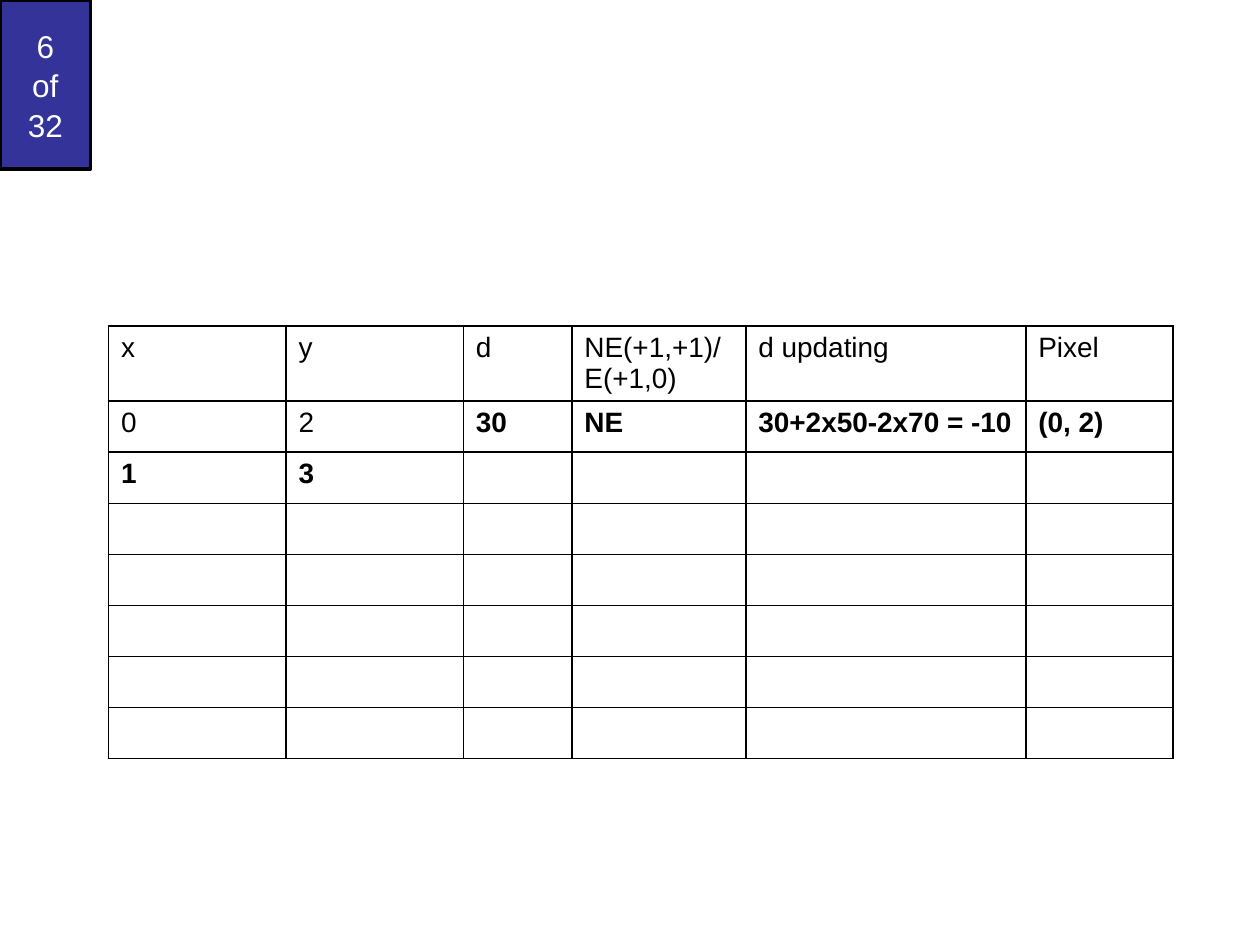
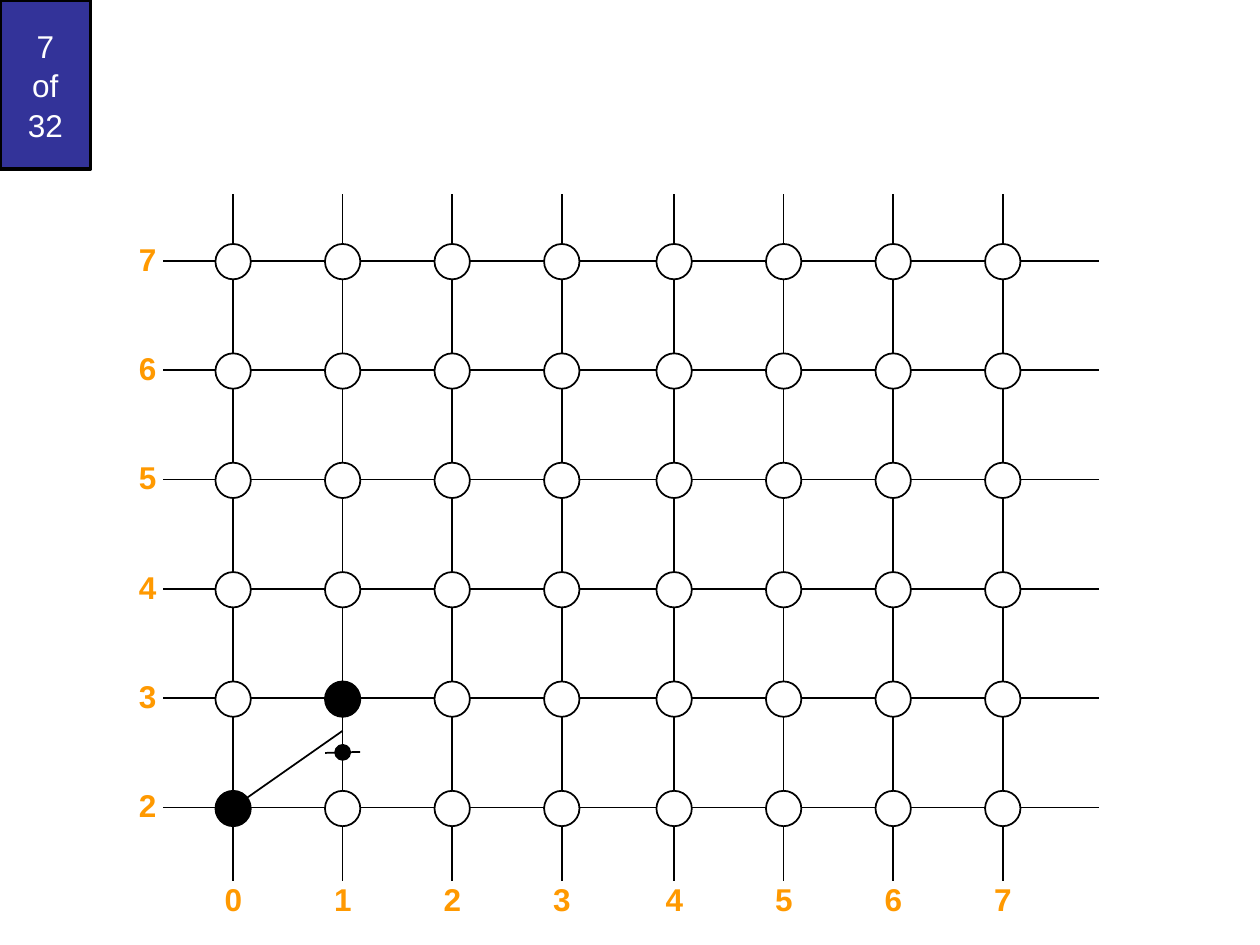
from lxml.etree import SubElement
from pptx import Presentation
from pptx.dml.color import RGBColor as Rgb
from pptx.enum.shapes import MSO_CONNECTOR as Link, MSO_SHAPE as Preset
from pptx.enum.text import MSO_ANCHOR as Anchor, PP_ALIGN as Align
from pptx.oxml.ns import qn
from pptx.util import Pt

COLOURS = {"ink": "000000", "paper": "FFFFFF", "badge": "333399", "axis": "FF9900"}
SLIDE_TOTAL = 32


class Deck:
    font = "Arial"

    def __init__(self, width, height):
        self.prs = Presentation()
        self.prs.slide_width, self.prs.slide_height = Pt(width), Pt(height)
        self.slide = None

    def colour(self, name):
        return Rgb.from_string(COLOURS[name])

    def new_slide(self, number):
        """Start a blank slide with its page badge in the corner."""
        self.slide = self.prs.slides.add_slide(self.prs.slide_layouts[6])
        badge = self.shape(Preset.RECTANGLE, 0, 0, 51.8, 96.5, "badge", weight=2)
        badge.text_frame.vertical_anchor = Anchor.MIDDLE
        self.set_text(badge.text_frame, f"{number}\vof\v{SLIDE_TOTAL}", "paper",
                      align=Align.CENTER, spacing=1.05)

    def set_text(self, frame, text, colour="ink", size=18, bold=False,
                 align=Align.LEFT, spacing=None):
        frame.text = text
        paragraph = frame.paragraphs[0]
        paragraph.alignment, paragraph.line_spacing = align, spacing
        look = {"name": self.font, "size": Pt(size), "bold": bold}
        for run in paragraph.runs:
            for key, value in look.items():
                setattr(run.font, key, value)
            run.font.color.rgb = self.colour(colour)

    def shape(self, preset, left, top, width, height, fill, weight=1):
        shape = self.slide.shapes.add_shape(
            preset, Pt(left), Pt(top), Pt(width), Pt(height))
        shape.shadow.inherit = False
        shape.fill.solid()
        shape.fill.fore_color.rgb = self.colour(fill)
        shape.line.color.rgb = self.colour("ink")
        shape.line.width = Pt(weight)
        return shape

    def dot(self, x, y, size, fill):
        """Draw a circle centred on x, y."""
        self.shape(Preset.OVAL, x - size / 2, y - size / 2, size, size, fill)

    def line(self, x1, y1, x2, y2):
        line = self.slide.shapes.add_connector(
            Link.STRAIGHT, Pt(x1), Pt(y1), Pt(x2), Pt(y2))
        line.line.color.rgb = self.colour("ink")
        line.line.width = Pt(1)
        SubElement(line._element.spPr, qn("a:effectLst"))

    def axis_label(self, x, y, text):
        """Put an axis number centred on x, y."""
        width, height = 24.5, 28.8
        box = self.slide.shapes.add_textbox(
            Pt(x - width / 2), Pt(y - height / 2), Pt(width), Pt(height))
        box.text_frame.word_wrap = False
        self.set_text(box.text_frame, text, "axis", bold=True, align=Align.RIGHT)

    def border(self, cell):
        props = cell._tc.get_or_add_tcPr()
        for position, side in enumerate(("a:lnL", "a:lnR", "a:lnT", "a:lnB")):
            edge = props.makeelement(qn(side), {"w": str(Pt(1))})
            fill = SubElement(edge, qn("a:solidFill"))
            SubElement(fill, qn("a:srgbClr"), val=COLOURS["ink"])
            props.insert(position, edge)

    def table(self, left, top, widths, heights, rows, is_bold):
        table = self.slide.shapes.add_table(
            len(heights), len(widths), Pt(left), Pt(top),
            Pt(sum(widths)), Pt(sum(heights))).table
        table.first_row = table.horz_banding = False
        for column, width in zip(table.columns, widths):
            column.width = Pt(width)
        for row, height in zip(table.rows, heights):
            row.height = Pt(height)
        for cell in table.iter_cells():
            cell.fill.background()
            self.border(cell)
        for r, texts in enumerate(rows):
            for c, text in enumerate(texts):
                self.set_text(table.cell(r, c).text_frame, text, size=16,
                              bold=is_bold(r, c))


def steps_slide(deck):
    deck.new_slide(6)
    steps = [
        ["x", "y", "d", "NE(+1,+1)/E(+1,0)", "d updating", "Pixel"],
        ["0", "2", "30", "NE", "30+2x50-2x70 = -10", "(0, 2)"],
        ["1", "3"],
    ]
    deck.table(62, 186.4, [101.4, 101.4, 62, 99.4, 160, 84.2],
               [42.8] + [29.2] * 7, steps,
               is_bold=lambda r, c: r == 2 or (r == 1 and c >= 2))


def grid_slide(deck):
    deck.new_slide(7)
    # The columns from 4 on sit slightly further right.
    xs = {n: 133.2 + 62.6 * n + (1.6 if n >= 4 else 0) for n in range(8)}
    ys = {n: 461.5 - 62.5 * (n - 2) for n in range(2, 8)}
    chosen = {(0, 2), (1, 3)}

    for y in ys.values():
        deck.line(627.8, y, 92.9, y)
    for x in xs.values():
        deck.line(x, 110.9, x, 503.3)
    for row, y in ys.items():
        for column, x in xs.items():
            fill = "ink" if (column, row) in chosen else "paper"
            deck.dot(x, y + 0.5, 20.2, fill)

    for row, y in ys.items():
        deck.axis_label(84.2, y - 1.2, str(row))
    for column, x in xs.items():
        deck.axis_label(x, 514, str(column))

    deck.line(xs[0], ys[2], xs[1], 417.6)
    midpoint = (ys[2] + ys[3]) / 2 - 0.3
    deck.line(xs[1] - 10, midpoint + 0.3, xs[1] + 10, midpoint - 0.3)
    deck.dot(xs[1], midpoint, 8.6, "ink")


def main():
    deck = Deck(720, 540)
    steps_slide(deck)
    grid_slide(deck)
    deck.prs.save("out.pptx")


if __name__ == "__main__":
    main()
